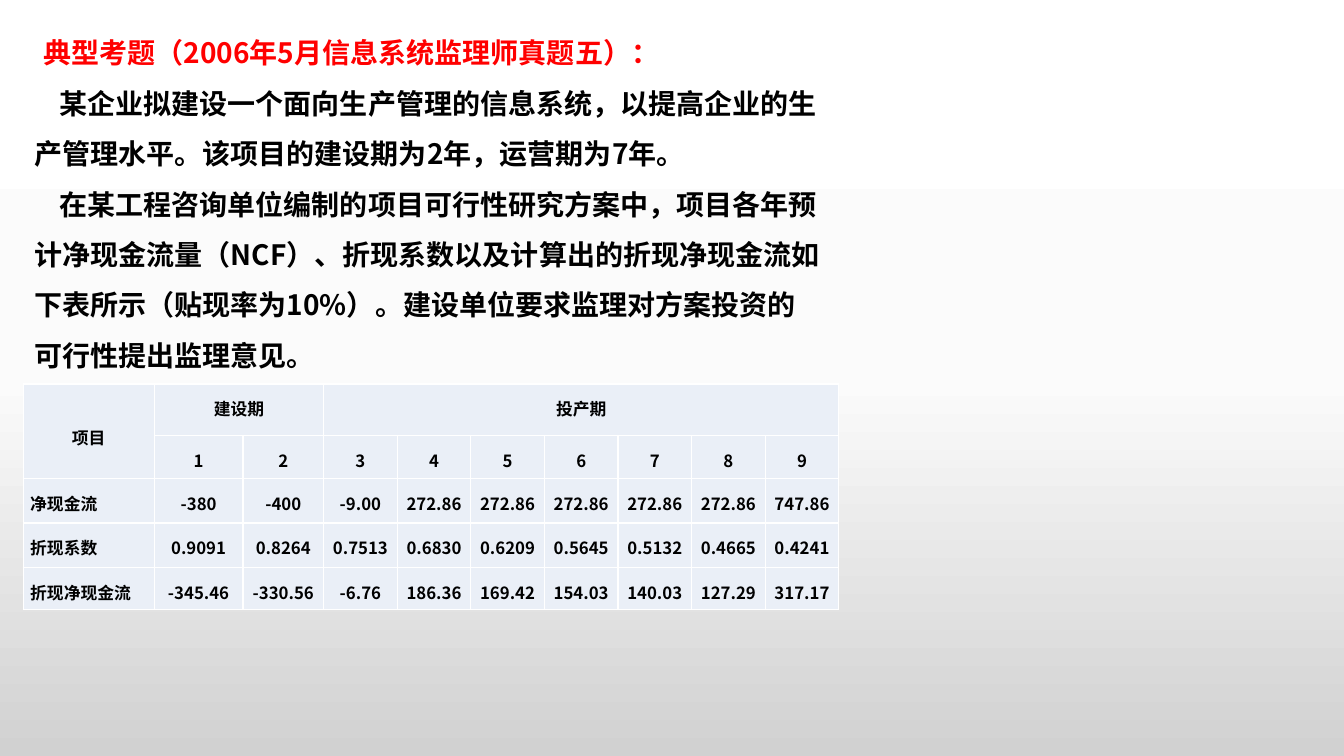
from copy import deepcopy

from lxml.etree import SubElement
from pptx import Presentation
from pptx.dml.color import RGBColor
from pptx.enum.text import MSO_ANCHOR as Anchor, PP_ALIGN as Align
from pptx.oxml.ns import qn
from pptx.util import Inches, Pt

FONT = "Noto Sans CJK SC"
RED = RGBColor(0xFF, 0x00, 0x00)
BLACK = RGBColor(0x00, 0x00, 0x00)
WHITE = RGBColor(0xFF, 0xFF, 0xFF)
PALE_BLUE = RGBColor(0xEA, 0xEF, 0xF7)
BACKGROUND = [(0, WHITE), (0.5, RGBColor(0xFB, 0xFB, 0xFB)),
              (1, RGBColor(0xD1, 0xD1, 0xD1))]

HEADING = "典型考题（2006年5月信息系统监理师真题五）："
BODY = [
    "某企业拟建设一个面向生产管理的信息系统，以提高企业的生产管理水平。"
    "该项目的建设期为2年，运营期为7年。",
    "在某工程咨询单位编制的项目可行性研究方案中，项目各年预计净现金流量（NCF）、"
    "折现系数以及计算出的折现净现金流如下表所示（贴现率为10%）。"
    "建设单位要求监理对方案投资的可行性提出监理意见。",
]
CASH_FLOW = [
    ["项目", "建设期", "", "投产期"] + [""] * 6,
    [""] + [str(year) for year in range(1, 10)],
    ["净现金流", "-380", "-400", "-9.00"] + ["272.86"] * 5 + ["747.86"],
    ["折现系数", "0.9091", "0.8264", "0.7513", "0.6830", "0.6209",
     "0.5645", "0.5132", "0.4665", "0.4241"],
    ["折现净现金流", "-345.46", "-330.56", "-6.76", "186.36", "169.42",
     "154.03", "140.03", "127.29", "317.17"],
]
MERGES = [((0, 0), (1, 0)), ((0, 1), (0, 2)), ((0, 3), (0, 9))]
COL_WIDTHS = [1.3, 0.88, 0.8] + [0.73] * 7
ROW_HEIGHTS = [0.51, 0.43, 0.44, 0.44, 0.42]


def set_background(s):
    fill = s.background.fill
    fill.gradient()
    fill.gradient_angle = 270
    gs_list = s.element.find(".//" + qn("a:gsLst"))
    gs_list.append(deepcopy(gs_list[-1]))
    for stop, (position, color) in zip(fill.gradient_stops, BACKGROUND):
        stop.position = position
        stop.color.rgb = color


def write(p, text, size=12, color=BLACK, align=None, left=0, first=0):
    p.alignment = align
    p.line_spacing = 1.5
    pPr = p._p.get_or_add_pPr()
    pPr.set("marL", str(Inches(left)))
    pPr.set("indent", str(Inches(first)))
    r = p.add_run()
    r.text = text
    r.font.name = FONT
    r.font.size = Pt(size)
    r.font.bold = True
    r.font.color.rgb = color
    SubElement(r.font._element, qn("a:ea"), typeface=FONT)


def add_question(s):
    box = s.shapes.add_textbox(Inches(0.23), Inches(0.13),
                               Inches(8.05), Inches(3.65))
    tf = box.text_frame
    tf.word_wrap = True
    tf.margin_left = tf.margin_right = Inches(0.11)
    tf.margin_top = tf.margin_bottom = Inches(0.06)
    write(tf.paragraphs[0], HEADING, size=20, color=RED, left=0.09)
    for text in BODY:
        write(tf.add_paragraph(), text, size=20, first=0.25)


def set_borders(cell, color=WHITE, width=1):
    tcPr = cell._tc.get_or_add_tcPr()
    for side in ("a:lnL", "a:lnR", "a:lnT", "a:lnB"):
        line = SubElement(tcPr, qn(side), w=str(Pt(width)))
        fill = SubElement(line, qn("a:solidFill"))
        SubElement(fill, qn("a:srgbClr"), val=str(color))


def format_cell(cell, text, align):
    set_borders(cell)
    cell.fill.solid()
    cell.fill.fore_color.rgb = PALE_BLUE
    cell.margin_left = cell.margin_right = Inches(0.07)
    cell.margin_top = cell.margin_bottom = 0
    if text:
        write(cell.text_frame.paragraphs[0], text, align=align)


def add_cash_flow_table(s):
    frame = s.shapes.add_table(len(ROW_HEIGHTS), len(COL_WIDTHS),
                               Inches(0.23), Inches(3.81),
                               Inches(sum(COL_WIDTHS)), Inches(sum(ROW_HEIGHTS)))
    table = frame.table
    for column, width in zip(table.columns, COL_WIDTHS):
        column.width = Inches(width)
    for row, height in zip(table.rows, ROW_HEIGHTS):
        row.height = Inches(height)
    for i, values in enumerate(CASH_FLOW):
        for j, text in enumerate(values):
            is_label = j == 0 and i > 1
            format_cell(table.cell(i, j), text,
                        Align.JUSTIFY if is_label else Align.CENTER)
    for start, end in MERGES:
        table.cell(*start).merge(table.cell(*end))
    table.cell(0, 0).vertical_anchor = Anchor.MIDDLE


def main():
    prs = Presentation()
    prs.slide_width = Inches(13.33)
    prs.slide_height = Inches(7.5)
    s = prs.slides.add_slide(prs.slide_layouts[6])
    set_background(s)
    add_question(s)
    add_cash_flow_table(s)
    prs.save("out.pptx")


main()
